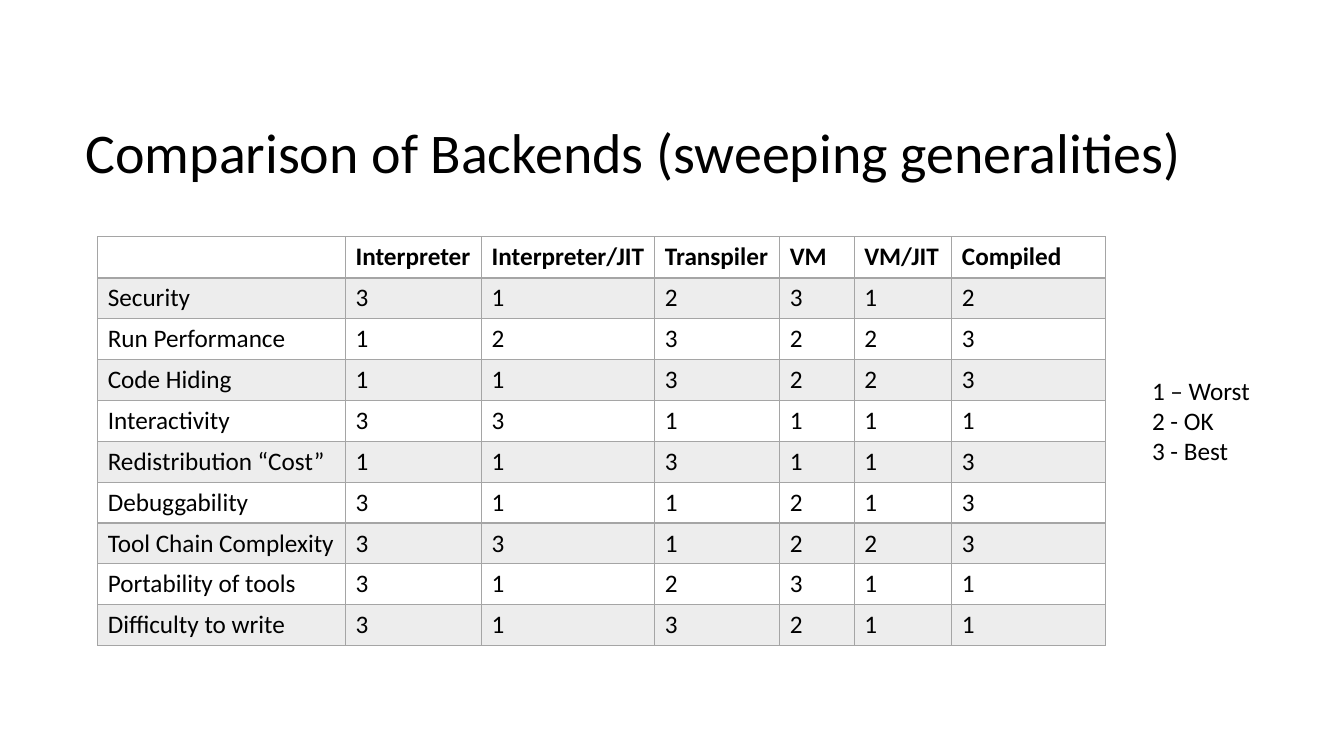
from lxml.etree import SubElement
from pptx import Presentation
from pptx.dml.color import RGBColor
from pptx.enum.text import MSO_ANCHOR, PP_ALIGN
from pptx.oxml.ns import qn
from pptx.util import Pt

BLACK = RGBColor(0x00, 0x00, 0x00)
GRAY = RGBColor(0xA5, 0xA5, 0xA5)
FONT = "Calibri"

HEADS = ["", "Interpreter", "Interpreter/JIT", "Transpiler", "VM", "VM/JIT", "Compiled"]
SCORES = [
    ("Security", 3, 1, 2, 3, 1, 2),
    ("Run Performance", 1, 2, 3, 2, 2, 3),
    ("Code Hiding", 1, 1, 3, 2, 2, 3),
    ("Interactivity", 3, 3, 1, 1, 1, 1),
    ("Redistribution “Cost”", 1, 1, 3, 1, 1, 3),
    ("Debuggability", 3, 1, 1, 2, 1, 3),
    ("Tool Chain Complexity", 3, 3, 1, 2, 2, 3),
    ("Portability of tools", 3, 1, 2, 3, 1, 1),
    ("Difficulty to write", 3, 1, 3, 2, 1, 1),
]
WIDTHS = [177, 97.2, 123.8, 89.2, 53.2, 69.8, 110]
HEIGHT = 29.2
LEGEND = "1 – Worst\n2 - OK\n3 - Best"


def write(frame, text, size=18, bold=False, wrap=True):
    frame.text = text
    frame.word_wrap = wrap
    for para in frame.paragraphs:
        para.alignment = PP_ALIGN.LEFT
        font = para.font
        font.name, font.size, font.bold = FONT, Pt(size), bold
        font.color.rgb = BLACK


def border(cell, top, bottom):
    props = cell._tc.get_or_add_tcPr()
    for side, width in (("L", 1), ("R", 1), ("T", top), ("B", bottom)):
        line = SubElement(props, qn(f"a:ln{side}"), w=str(Pt(width)))
        fill = SubElement(line, qn("a:solidFill"))
        SubElement(fill, qn("a:srgbClr"), val=str(GRAY))


def shade(cell, band):
    if not band:
        cell.fill.background()
        return
    cell.fill.solid()
    cell.fill.fore_color.rgb = GRAY
    color = cell._tc.tcPr.find(qn("a:solidFill")).find(qn("a:srgbClr"))
    SubElement(color, qn("a:alpha"), val="20000")


def add_grid(slide, left, top):
    rows = [HEADS, *SCORES]
    frame = slide.shapes.add_table(
        len(rows), len(HEADS), Pt(left), Pt(top),
        Pt(sum(WIDTHS)), Pt(HEIGHT * len(rows)))
    table = frame.table
    table.first_row = table.horz_banding = False
    for column, width in zip(table.columns, WIDTHS):
        column.width = Pt(width)
    for i, values in enumerate(rows):
        table.rows[i].height = Pt(HEIGHT)
        for j, value in enumerate(values):
            cell = table.cell(i, j)
            write(cell.text_frame, str(value), bold=i == 0)
            border(cell, top=2 if i == 1 else 1, bottom=2 if i == 0 else 1)
            shade(cell, band=i % 2 == 1)


def add_title(slide, text, left, top, width, height):
    title = slide.shapes.title
    title.left, title.top = Pt(left), Pt(top)
    title.width, title.height = Pt(width), Pt(height)
    title.text_frame.vertical_anchor = MSO_ANCHOR.TOP
    write(title.text_frame, text, size=40)


def add_key(slide, text, left, top, width, height):
    box = slide.shapes.add_textbox(Pt(left), Pt(top), Pt(width), Pt(height))
    write(box.text_frame, text, wrap=False)


def main():
    deck = Presentation()
    deck.slide_width, deck.slide_height = Pt(960), Pt(540)
    slide = deck.slides.add_slide(deck.slide_layouts[5])
    add_title(slide, "Comparison of Backends (sweeping generalities)", 54, 80, 805, 55.5)
    add_grid(slide, 69.8, 169.2)
    add_key(slide, LEGEND, 815.8, 264.2, 85, 72.7)
    deck.save("out.pptx")


if __name__ == "__main__":
    main()
